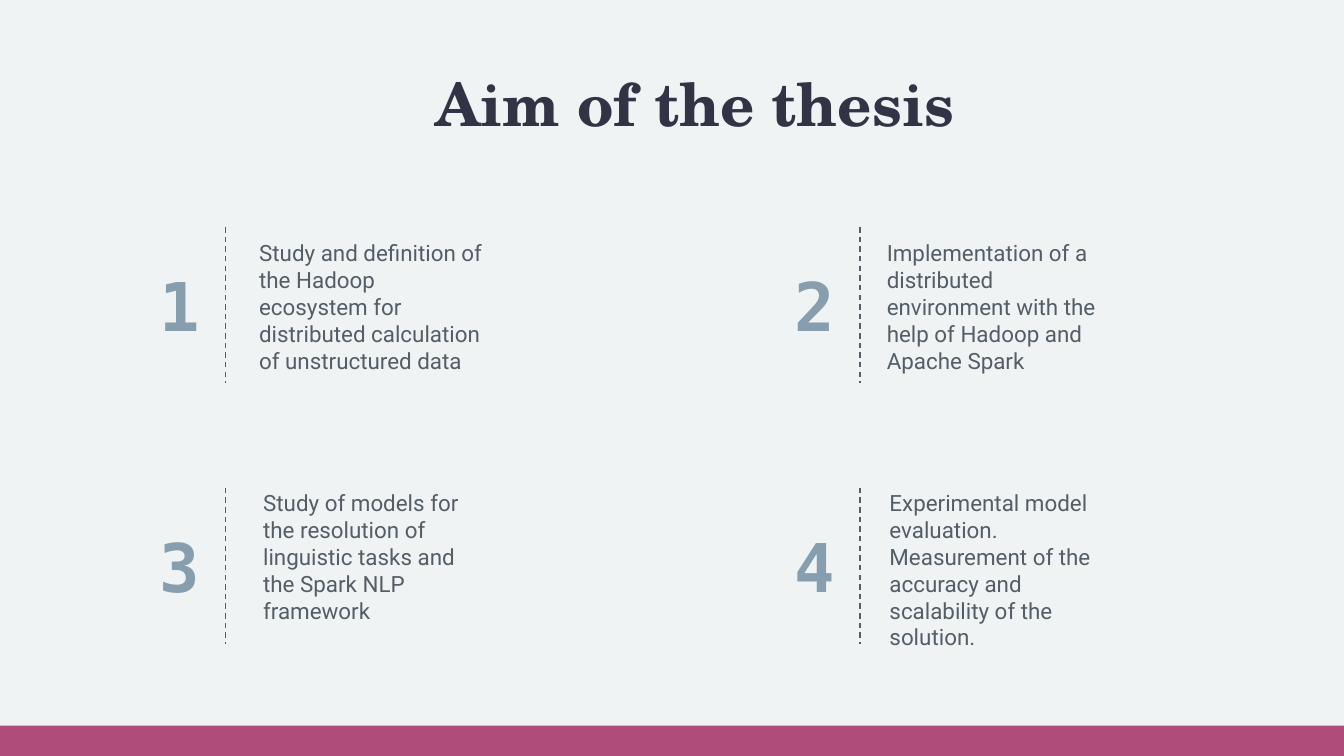
from dataclasses import dataclass

from lxml import etree
from pptx import Presentation
from pptx.dml.color import RGBColor
from pptx.enum.dml import MSO_LINE
from pptx.enum.shapes import MSO_CONNECTOR, MSO_SHAPE
from pptx.enum.text import MSO_ANCHOR, MSO_AUTO_SIZE, PP_ALIGN
from pptx.oxml.ns import qn
from pptx.slide import Slide
from pptx.text.text import TextFrame, _Paragraph
from pptx.util import Inches, Pt

RECTANGLE = MSO_SHAPE.RECTANGLE
STRAIGHT = MSO_CONNECTOR.STRAIGHT
DASH = MSO_LINE.DASH
TOP, MIDDLE = MSO_ANCHOR.TOP, MSO_ANCHOR.MIDDLE
LEFT, CENTER = PP_ALIGN.LEFT, PP_ALIGN.CENTER

BACKGROUND = RGBColor(0xF0, 0xF3, 0xF4)
BAND = RGBColor(0xB0, 0x4C, 0x7A)
TITLE_COLOR = RGBColor(0x31, 0x34, 0x45)
NUMBER_COLOR = RGBColor(0x87, 0x9E, 0xAF)
BODY_COLOR = RGBColor(0x54, 0x5E, 0x66)

COLUMN_LEFTS = (0.99, 5.71)
ROW_TOPS = (1.69, 3.63)
DIVIDER_OFFSET = 0.69
DIVIDER_HEIGHT = 1.16
NUMBER_DROP = 0.29


@dataclass(frozen=True)
class TextStyle:
    font: str
    size: int
    color: RGBColor
    bold: bool = False


@dataclass(frozen=True)
class Aim:
    text: str
    left: float
    top: float
    width: float


TITLE_STYLE = TextStyle("TeX Gyre Schola", 32, TITLE_COLOR, True)
NUMBER_STYLE = TextStyle("DejaVu Sans Mono", 36, NUMBER_COLOR, True)
BODY_STYLE = TextStyle("Roboto", 12, BODY_COLOR)

AIMS = (
    Aim("Study and definition of the Hadoop ecosystem for distributed "
        "calculation of unstructured data", 1.83, 1.68, 1.87),
    Aim("Implementation of a distributed environment with the help of "
        "Hadoop and Apache Spark", 6.5, 1.68, 1.76),
    Aim("Study of models for the resolution of linguistic tasks and the "
        "Spark NLP framework", 1.86, 3.54, 1.73),
    Aim("Experimental model evaluation. Measurement of the accuracy and "
        "scalability of the solution.", 6.52, 3.54, 1.73),
)


def write_text(frame: TextFrame, text: str, style: TextStyle,
               anchor: MSO_ANCHOR = TOP, alignment: PP_ALIGN = LEFT) -> _Paragraph:
    frame.word_wrap = True
    frame.auto_size = MSO_AUTO_SIZE.NONE
    frame.vertical_anchor = anchor
    frame.margin_left = frame.margin_right = Inches(0.1)
    frame.margin_top = frame.margin_bottom = Inches(0.1)
    paragraph = frame.paragraphs[0]
    paragraph.alignment = alignment
    run = paragraph.add_run()
    run.text = text
    run.font.name = style.font
    run.font.size = Pt(style.size)
    run.font.bold = style.bold
    run.font.color.rgb = style.color
    return paragraph


def add_title(slide: Slide, text: str) -> None:
    title = slide.shapes.title
    title.left, title.top = Inches(0.95), Inches(0.4)
    title.width, title.height = Inches(8.44), Inches(0.68)
    write_text(title.text_frame, text, TITLE_STYLE, alignment=CENTER)


def add_number(slide: Slide, number: int, left: float, top: float) -> None:
    box = slide.shapes.add_textbox(
        Inches(left), Inches(top), Inches(0.63), Inches(0.58))
    paragraph = write_text(box.text_frame, str(number), NUMBER_STYLE, MIDDLE)
    properties = paragraph._p.get_or_add_pPr()
    properties.set("marL", str(Inches(0.1)))
    properties.set("indent", "0")


def add_divider(slide: Slide, x: float, top: float) -> None:
    divider = slide.shapes.add_connector(
        STRAIGHT, Inches(x), Inches(top), Inches(x), Inches(top + DIVIDER_HEIGHT))
    divider.line.color.rgb = BODY_COLOR
    divider.line.width = Pt(0.75)
    divider.line.dash_style = DASH
    etree.SubElement(divider._element.spPr, qn("a:effectLst"))


def add_aim(slide: Slide, index: int, aim: Aim) -> None:
    row, column = divmod(index, len(COLUMN_LEFTS))
    left, top = COLUMN_LEFTS[column], ROW_TOPS[row]
    add_number(slide, index + 1, left, top + NUMBER_DROP)
    add_divider(slide, left + DIVIDER_OFFSET, top)
    box = slide.shapes.add_textbox(
        Inches(aim.left), Inches(aim.top), Inches(aim.width), Inches(1.25))
    write_text(box.text_frame, aim.text, BODY_STYLE)


def main() -> None:
    # Widescreen slide, 16:9
    presentation = Presentation()
    presentation.slide_width = Inches(10)
    presentation.slide_height = presentation.slide_width * 9 // 16
    slide = presentation.slides.add_slide(presentation.slide_layouts[5])
    slide.background.fill.solid()
    slide.background.fill.fore_color.rgb = BACKGROUND

    # Bottom band
    band_top = Inches(5.4)
    band = slide.shapes.add_shape(
        RECTANGLE, 0, band_top, presentation.slide_width,
        presentation.slide_height - band_top)
    band.shadow.inherit = False
    band.fill.solid()
    band.fill.fore_color.rgb = BAND
    band.line.fill.background()

    # Title and the numbered aims
    add_title(slide, "Aim of the thesis")
    for index, aim in enumerate(AIMS):
        add_aim(slide, index, aim)

    presentation.save("out.pptx")


if __name__ == "__main__":
    main()
